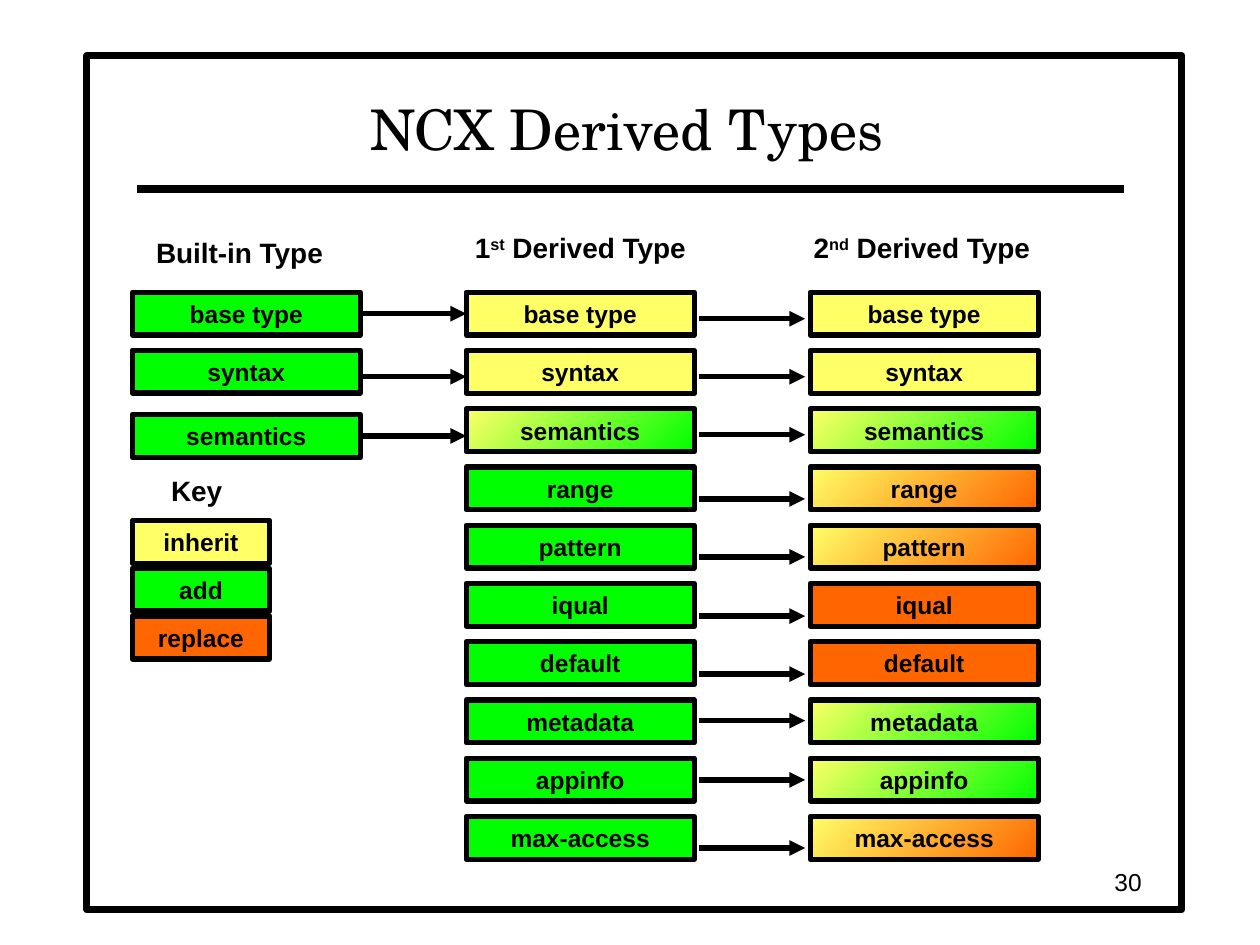
from typing import NamedTuple

from lxml import etree
from pptx import Presentation
from pptx.dml.color import RGBColor
from pptx.enum.shapes import MSO_CONNECTOR, MSO_SHAPE
from pptx.enum.text import MSO_ANCHOR, MSO_AUTO_SIZE, PP_ALIGN
from pptx.oxml.ns import qn
from pptx.util import Inches, Pt

RECTANGLE, STRAIGHT = MSO_SHAPE.RECTANGLE, MSO_CONNECTOR.STRAIGHT
LEFT, CENTER, RIGHT = PP_ALIGN.LEFT, PP_ALIGN.CENTER, PP_ALIGN.RIGHT
TOP, MIDDLE, BOTTOM = MSO_ANCHOR.TOP, MSO_ANCHOR.MIDDLE, MSO_ANCHOR.BOTTOM
NO_AUTOFIT = MSO_AUTO_SIZE.NONE
LEFT_SIDE, RIGHT_SIDE = 1, 3

BLACK = RGBColor(0x00, 0x00, 0x00)
WHITE = RGBColor(0xFF, 0xFF, 0xFF)
YELLOW = RGBColor(0xFF, 0xFF, 0x66)
GREEN = RGBColor(0x00, 0xFF, 0x00)
ORANGE = RGBColor(0xFF, 0x66, 0x00)

# A fill is one colour, or two for a diagonal gradient from the lower right
INHERIT, ADD, REPLACE = (YELLOW,), (GREEN,), (ORANGE,)
INHERIT_ADD, INHERIT_REPLACE = (GREEN, YELLOW), (ORANGE, YELLOW)

BUILT_IN_X, FIRST_X, SECOND_X = 1.05, 3.7, 6.43
BOX_W, BOX_H, KEY_W = 1.81, 0.34, 1.09
FIRST_ROW_Y, LAST_ROW_Y = 2.32, 6.48
KEY_Y, KEY_PITCH = 4.13, 0.38


class Property(NamedTuple):
    label: str
    first_fill: tuple
    second_fill: tuple
    arrow_y: float


class BuiltIn(NamedTuple):
    label: str
    y: float
    arrow_y: float
    reaches_centre: bool
    leaves_centre: bool


class Heading(NamedTuple):
    wording: tuple  # text, superscript, text
    x: float
    y: float
    width: float


PROPERTIES = [
    Property("base type", INHERIT, INHERIT, 2.53),
    Property("syntax", INHERIT, INHERIT, 2.99),
    Property("semantics", INHERIT_ADD, INHERIT_ADD, 3.45),
    Property("range", ADD, INHERIT_REPLACE, 3.96),
    Property("pattern", ADD, INHERIT_REPLACE, 4.42),
    Property("iqual", ADD, REPLACE, 4.89),
    Property("default", ADD, REPLACE, 5.35),
    Property("metadata", ADD, INHERIT_ADD, 5.72),
    Property("appinfo", ADD, INHERIT_ADD, 6.19),
    Property("max-access", ADD, INHERIT_REPLACE, 6.73),
]
BUILT_INS = [
    BuiltIn("base type", 2.32, 2.49, True, True),
    BuiltIn("syntax", 2.78, 2.99, False, False),
    BuiltIn("semantics", 3.29, 3.46, False, True),
]
HEADINGS = [
    Heading(("Built-in Type",), BUILT_IN_X + 0.09, 1.82, 1.54),
    Heading(("1", "st", " Derived Type"), 3.67, 1.78, 1.89),
    Heading(("2", "nd", " Derived Type"), 6.36, 1.78, 1.93),
    Heading(("Key",), 1.26, 3.71, 0.6),
]
KEY = [("inherit", INHERIT), ("add", ADD), ("replace", REPLACE)]


def write(shape, *wording: str, size: float, font: str = "Arial", bold: bool = False,
          align=LEFT, anchor=TOP, wrap: bool = True) -> None:
    """Write the wording as one paragraph; every second piece is superscript."""
    frame = shape.text_frame
    frame.auto_size, frame.word_wrap = NO_AUTOFIT, wrap
    frame.vertical_anchor = anchor
    paragraph = frame.paragraphs[0]
    paragraph.alignment = align
    for index, piece in enumerate(wording):
        run = paragraph.add_run()
        run.text = piece
        run.font.size, run.font.name, run.font.bold = Pt(size), font, bold
        run.font.color.rgb = BLACK
        if index % 2:
            run._r.get_or_add_rPr().set("baseline", "30000")


def add_rectangle(slide, x: float, y: float, width: float, height: float,
                  colours: tuple, line_width: float):
    box = slide.shapes.add_shape(RECTANGLE, Inches(x), Inches(y), Inches(width), Inches(height))
    box.shadow.inherit = False
    if len(colours) == 1:
        box.fill.solid()
        box.fill.fore_color.rgb = colours[0]
    else:
        box.fill.gradient()
        box.fill.gradient_angle = 135
        for stop, colour in zip(box.fill.gradient_stops, colours):
            stop.color.rgb = colour
    box.line.color.rgb = BLACK
    box.line.width = Pt(line_width)
    return box


def add_label_box(slide, label: str, x: float, y: float, colours: tuple, width: float = BOX_W):
    box = add_rectangle(slide, x, y, width, BOX_H, colours, 3)
    write(box, label, size=14, bold=True, align=CENTER, anchor=MIDDLE)
    return box


def add_line(slide, x1: float, x2: float, y: float, width: float = 3, arrow: bool = True):
    line = slide.shapes.add_connector(STRAIGHT, Inches(x1), Inches(y), Inches(x2), Inches(y))
    line.line.color.rgb = BLACK
    line.line.width = Pt(width)
    if arrow:
        etree.SubElement(line.line._get_or_add_ln(), qn("a:tailEnd"), type="triangle")
    etree.SubElement(line.element.spPr, qn("a:effectLst"))
    return line


def add_text(slide, *wording: str, x: float, y: float, width: float, height: float,
             **text_format) -> None:
    box = slide.shapes.add_textbox(Inches(x), Inches(y), Inches(width), Inches(height))
    write(box, *wording, **text_format)


def main() -> None:
    prs = Presentation()
    prs.slide_width, prs.slide_height = Inches(10), Inches(7.5)
    slide = prs.slides.add_slide(prs.slide_layouts[5])

    # Frame, rule and title, with the title in front of the frame
    add_rectangle(slide, 0.69, 0.44, 8.69, 6.78, (WHITE,), 4)
    add_line(slide, 1.09, 8.92, 1.5, width=4.5, arrow=False)
    title = slide.shapes.title
    slide.shapes.element.append(title.element)
    title.left, title.top = Inches(1.08), Inches(0.58)
    title.width, title.height = Inches(7.79), Inches(0.75)
    write(title, "NCX Derived Types", size=32, font="TeX Gyre Schola",
          align=CENTER, anchor=BOTTOM)

    # Column headings and key heading
    for heading in HEADINGS:
        add_text(slide, *heading.wording, x=heading.x, y=heading.y, width=heading.width,
                 height=0.37, size=16, bold=True, wrap=False)

    # First and second derived types
    pitch = (LAST_ROW_Y - FIRST_ROW_Y) / (len(PROPERTIES) - 1)
    first_boxes = []
    for row, prop in enumerate(PROPERTIES):
        y = FIRST_ROW_Y + row * pitch
        first_boxes.append(add_label_box(slide, prop.label, FIRST_X, y, prop.first_fill))
        add_label_box(slide, prop.label, SECOND_X, y, prop.second_fill)
        add_line(slide, 5.55, 6.39, prop.arrow_y)

    # Built-in types, each leading to the first derived type
    for built_in, first_box in zip(BUILT_INS, first_boxes):
        box = add_label_box(slide, built_in.label, BUILT_IN_X, built_in.y, ADD)
        arrow = add_line(slide, BUILT_IN_X + BOX_W, FIRST_X, built_in.arrow_y)
        if built_in.leaves_centre:
            arrow.begin_connect(box, RIGHT_SIDE)
        if built_in.reaches_centre:
            arrow.end_connect(first_box, LEFT_SIDE)

    # Key
    for row, (label, fill) in enumerate(KEY):
        add_label_box(slide, label, BUILT_IN_X, KEY_Y + row * KEY_PITCH, fill, KEY_W)

    # Page number
    add_text(slide, "30", x=7.08, y=6.83, width=2.08, height=0.33,
             size=14, align=RIGHT, anchor=MIDDLE)

    prs.save("out.pptx")


if __name__ == "__main__":
    main()
